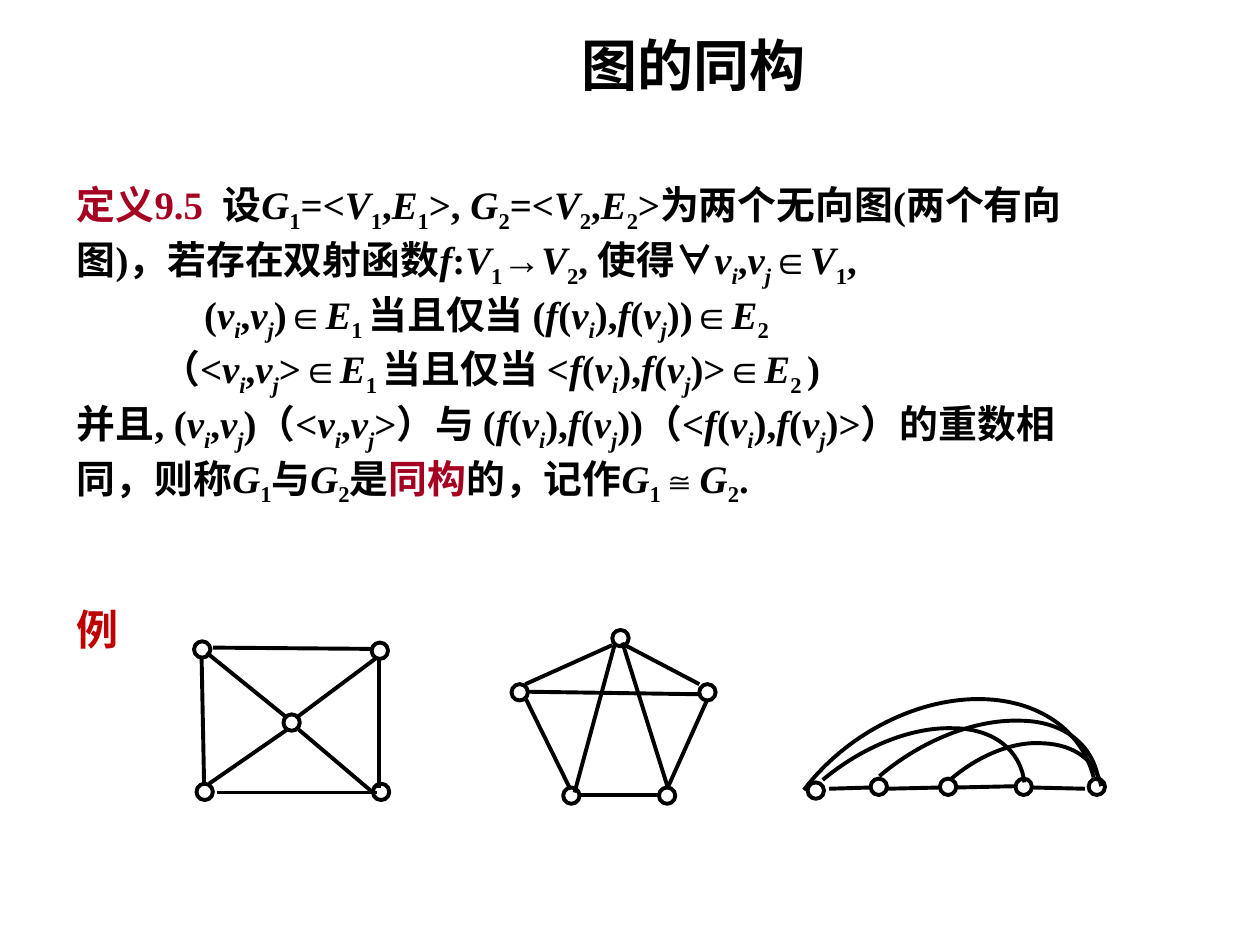
import pptx
import pptx.util
import pptx.dml.color
import pptx.enum.shapes
import pptx.enum.text
import pptx.oxml
import pptx.oxml.ns

SCALE = 9144
HUES = {"ink": "000000", "paper": "FFFFFF", "term": "A50021", "label": "C00000"}
SERIF, SANS = "Times New Roman", "Arial"
PAIR = "/v|~i|,|/v|~j"
IMAGE = "/f|(|/v|~i|),|/f|(|/v|~j|)"
G1, G2, V1, V2, E1, E2 = (f"/{name}|_{num}" for name in "GVE" for num in "12")
LINES = [
    (38, -38, f"!定义9.5  |设|{G1}|=<|{V1}|,|{E1}|>, |{G2}|=<|{V2}|,|{E2}|>为两个无向图(两个有向"),
    (38, -38, f"图)，若存在双射函数|/f|:|{V1}|@→|{V2}|, 使得|@∀|{PAIR}|@∈|{V1}|,"),
    (101, 0, f"(|{PAIR}|)|@∈|{E1} |当且仅当 (|{IMAGE}|)|@∈|{E2}"),
    (67, 0, f"（<|{PAIR}|>|@∈|{E1} |当且仅当 <|{IMAGE}|>|@∈|{E2} |)"),
    (38, -38, f"并且, (|{PAIR}|)（<|{PAIR}|>）与 (|{IMAGE}|)（<|{IMAGE}|>）的重数相"),
    (38, -38, f"同，则称|{G1}|与|{G2}|是|!同构|的，记作|{G1}|@≅|{G2}|."),
]
NODE = 13
SQUARE = [(225, 567), (154, 509), (156, 622), (296, 622), (295, 510)]
HOUSE = [(486, 500), (406, 543), (447, 625), (523, 625), (555, 543)]
ROW = [(641, 621), (691, 618), (746, 618), (806, 618), (864, 618)]
SPOKES = [
    (160, 522, 162, 622), (169, 514, 296, 515), (172, 629, 299, 629), (164, 518, 227, 569),
    (301, 524, 301, 625), (237, 579, 296, 629), (236, 569, 299, 522), (166, 622, 228, 579),
]
BEAMS = [
    (418, 549, 555, 551), (417, 543, 486, 512), (456, 629, 488, 511), (496, 512, 555, 543),
    (494, 510, 530, 625), (417, 554, 452, 625), (561, 556, 530, 625), (461, 631, 523, 631),
]
STEPS = [(759, 625, 806, 624), (819, 625, 861, 626), (704, 626, 746, 625), (658, 626, 691, 625)]
ARCS = [
    [(638, 627), (670, 585), (722, 557), (771, 555), (820, 553), (858, 577), (868, 617)],
    [(698, 616), (731, 588), (773, 571), (809, 572), (844, 572), (868, 591), (872, 620)],
    [(754, 619), (776, 600), (804, 588), (828, 590), (853, 591), (870, 604), (874, 624)],
    [(653, 619), (684, 593), (723, 577), (756, 578), (788, 578), (810, 595), (813, 621)],
]


def px(num):
    """Turn pixels into EMU."""
    return pptx.util.Emu(num * SCALE)


def hue(name):
    """Look up a colour by its role."""
    return pptx.dml.color.RGBColor.from_string(HUES[name])


def place(shape, left, top, width, height):
    """Move and size a shape."""
    shape.left, shape.top = px(left), px(top)
    shape.width, shape.height = px(width), px(height)


def add_run(para, text, size, face=SERIF, tint="ink"):
    """Add one bold run."""
    run = para.add_run()
    run.text = text
    font = run.font
    font.name, font.size, font.bold = face, pptx.util.Pt(size), True
    font.color.rgb = hue(tint)
    return run


def add_math(para, code, size):
    """Add runs whose first mark gives slant, index, face or tint."""
    for part in code.split("|"):
        mark = part[0]
        text = part[1:] if mark in "/_~@!" else part
        face = SANS if mark == "@" else SERIF
        run = add_run(para, text, size, face, "term" if mark == "!" else "ink")
        run.font.italic = mark in "/~"
        if mark in "_~":
            run.font._element.set("baseline", "-25000")


def fill_title(shape):
    """Write the slide title."""
    place(shape, 216, 28, 669, 46)
    frame = shape.text_frame
    frame.auto_size = pptx.enum.text.MSO_AUTO_SIZE.NONE
    frame.vertical_anchor = pptx.enum.text.MSO_ANCHOR.MIDDLE
    para = frame.paragraphs[0]
    para.alignment = pptx.enum.text.PP_ALIGN.CENTER
    add_run(para, "图的同构", 32)


def fill_body(shape):
    """Write the definition line by line."""
    place(shape, 51, 139, 900, 299)
    frame = shape.text_frame
    frame.auto_size = pptx.enum.text.MSO_AUTO_SIZE.NONE
    for row, (left, hang, code) in enumerate(LINES):
        para = frame.add_paragraph() if row else frame.paragraphs[0]
        para.line_spacing = 0.9
        para.space_before = pptx.util.Pt(4 if row else 0)
        props = para._p.get_or_add_pPr()
        props.set("marL", str(px(left)))
        props.set("indent", str(px(hang)))
        props.append(pptx.oxml.parse_xml(f"<a:buNone {pptx.oxml.ns.nsdecls('a')}/>"))
        add_math(para, code, 22.2)


def add_label(shapes):
    """Add the label of the example."""
    box = shapes.add_textbox(px(51), px(474), px(323), px(50))
    box.text_frame.word_wrap = True
    add_run(box.text_frame.paragraphs[0], "例", 24, SANS, "label")


def ink(shape):
    """Give a shape the common stroke."""
    shape.line.color.rgb = hue("ink")
    shape.line.width = pptx.util.Pt(2.25)


def add_nodes(shapes, spots):
    """Add a round node at each spot."""
    for left, top in spots:
        kind = pptx.enum.shapes.MSO_SHAPE.OVAL
        node = shapes.add_shape(kind, px(left), px(top), px(NODE), px(NODE))
        node.shadow.inherit = False
        node.fill.solid()
        node.fill.fore_color.rgb = hue("paper")
        ink(node)


def add_edges(shapes, ends):
    """Add a straight edge for each pair of ends."""
    for end in ends:
        kind = pptx.enum.shapes.MSO_CONNECTOR.STRAIGHT
        edge = shapes.add_connector(kind, *map(px, end))
        ink(edge)
        edge._element.spPr.append(
            pptx.oxml.parse_xml(f"<a:effectLst {pptx.oxml.ns.nsdecls('a')}/>"))


def add_arc(shapes, knots):
    """Add an open curve of cubic pieces through its control points."""
    form = shapes.build_freeform(*knots[0], scale=SCALE)
    form.add_line_segments(knots[1:], close=False)
    arc = form.convert_to_shape()
    arc.shadow.inherit = False
    arc.fill.background()
    ink(arc)
    legs = arc._element.findall(".//" + pptx.oxml.ns.qn("a:lnTo"))
    for start in range(0, len(legs), 3):
        bend = pptx.oxml.parse_xml(f"<a:cubicBezTo {pptx.oxml.ns.nsdecls('a')}/>")
        legs[start].addprevious(bend)
        for leg in legs[start:start + 3]:
            bend.append(leg[0])
            leg.getparent().remove(leg)


def main():
    """Build the slide and save it."""
    deck = pptx.Presentation()
    deck.slide_width, deck.slide_height = px(1000), px(750)
    slide = deck.slides.add_slide(deck.slide_layouts[1])
    shapes = slide.shapes
    fill_title(shapes.title)
    fill_body(slide.placeholders[1])
    add_label(shapes)
    for spots, ends in ((SQUARE, SPOKES), (HOUSE, BEAMS)):
        add_nodes(shapes, spots)
        add_edges(shapes, ends)
    add_arc(shapes, ARCS[0])
    add_nodes(shapes, ROW)
    add_edges(shapes, STEPS)
    for knots in ARCS[1:]:
        add_arc(shapes, knots)
    deck.save("out.pptx")


if __name__ == "__main__":
    main()
